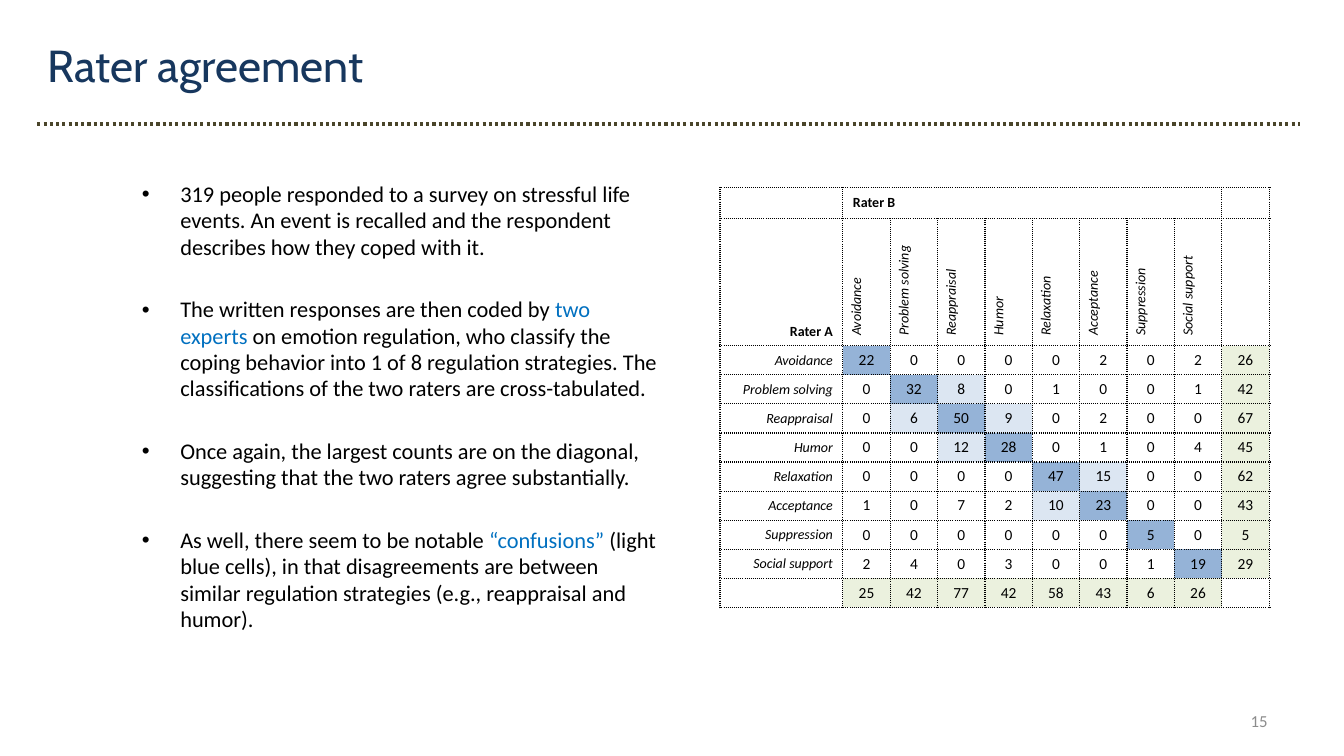
from dataclasses import dataclass

from lxml import etree
from pptx import Presentation
from pptx.dml.color import RGBColor
from pptx.enum.dml import MSO_LINE
from pptx.enum.shapes import MSO_CONNECTOR
from pptx.enum.text import MSO_ANCHOR, PP_ALIGN
from pptx.oxml.ns import qn
from pptx.util import Inches, Pt

LEFT, CENTER, RIGHT = PP_ALIGN.LEFT, PP_ALIGN.CENTER, PP_ALIGN.RIGHT
TOP, MIDDLE, BOTTOM = MSO_ANCHOR.TOP, MSO_ANCHOR.MIDDLE, MSO_ANCHOR.BOTTOM
DOTTED = MSO_LINE.ROUND_DOT
STRAIGHT = MSO_CONNECTOR.STRAIGHT


@dataclass(frozen=True)
class Theme:
    heading_font: str = "Cabin"
    body_font: str = "Calibri"
    title_size: int = 32
    body_size: int = 16
    number_size: int = 12
    count_size: int = 11
    label_size: int = 10
    navy: str = "17375E"
    black: str = "000000"
    accent: str = "0070C0"
    gray: str = "8C8C8C"
    rule: str = "4A452A"
    agreement: str = "95B3D7"
    confusion: str = "DCE6F2"
    total: str = "EBF1DE"
    white: str = "FFFFFF"


THEME = Theme()

# Each bullet is a list of (text, colour) spans
BULLETS = [
    [("319 people responded to a survey on stressful life events. An event is "
      "recalled and the respondent describes how they coped with it.", THEME.black)],
    [("The written responses are then coded by ", THEME.black),
     ("two experts ", THEME.accent),
     ("on emotion regulation, who classify the coping behavior into 1 of 8 regulation "
      "strategies. The classifications of the two raters are cross-tabulated.",
      THEME.black)],
    [("Once again, the largest counts are on the diagonal, suggesting that the two "
      "raters agree substantially.", THEME.black)],
    [("As well, there seem to be notable ", THEME.black),
     ("“confusions” ", THEME.accent),
     ("(light blue cells), in that disagreements are between similar regulation "
      "strategies (e.g., reappraisal and humor).", THEME.black)],
]

STRATEGIES = ["Avoidance", "Problem solving", "Reappraisal", "Humor",
              "Relaxation", "Acceptance", "Suppression", "Social support"]
COUNTS = [
    [22, 0, 0, 0, 0, 2, 0, 2],
    [0, 32, 8, 0, 1, 0, 0, 1],
    [0, 6, 50, 9, 0, 2, 0, 0],
    [0, 0, 12, 28, 0, 1, 0, 4],
    [0, 0, 0, 0, 47, 15, 0, 0],
    [1, 0, 7, 2, 10, 23, 0, 0],
    [0, 0, 0, 0, 0, 0, 5, 0],
    [2, 4, 0, 3, 0, 0, 1, 19],
]
CONFUSION_MINIMUM = 6


def add_span(para, text, size, color=THEME.black, font=THEME.body_font,
             bold=False, italic=False):
    span = para.add_run()
    span.text = text
    span.font.name, span.font.size = font, Pt(size)
    span.font.bold, span.font.italic = bold, italic
    span.font.color.rgb = RGBColor.from_string(color)


def add_heading(page, left, top, width, height):
    title = page.shapes.title
    title.left, title.top = Inches(left), Inches(top)
    title.width, title.height = Inches(width), Inches(height)
    title.text_frame.vertical_anchor = TOP
    para = title.text_frame.paragraphs[0]
    para.alignment = LEFT
    add_span(para, "Rater agreement", THEME.title_size, THEME.navy, THEME.heading_font)

    # Dotted rule below the title
    rule_top = Inches(top + 0.91)
    rule = page.shapes.add_connector(STRAIGHT, Inches(left), rule_top,
                                     Inches(left + 12.52), rule_top)
    rule.line.color.rgb = RGBColor.from_string(THEME.rule)
    rule.line.width = Pt(2.25)
    rule.line.dash_style = DOTTED
    etree.SubElement(rule._element.spPr, qn("a:effectLst"))


def add_text_frame(page, left, top, width, height):
    box = page.shapes.add_textbox(Inches(left), Inches(top), Inches(width), Inches(height))
    box.text_frame.word_wrap = True
    return box.text_frame


def add_bullets(page, left, top, width, height):
    frame = add_text_frame(page, left, top, width, height)
    for index, spans in enumerate(BULLETS):
        para = frame.add_paragraph() if index else frame.paragraphs[0]
        para.space_before = Pt(26 if index else 0)
        para.line_spacing = 0.98
        properties = para._p.get_or_add_pPr()
        properties.set("marL", str(Inches(0.38)))
        properties.set("indent", str(-Inches(0.38)))
        etree.SubElement(properties, qn("a:buFont"), typeface="Arial")
        etree.SubElement(properties, qn("a:buChar"), char="•")
        for text, color in spans:
            add_span(para, text, THEME.body_size, color)


def add_page_number(page, left, top, width, height):
    frame = add_text_frame(page, left, top, width, height)
    frame.vertical_anchor = MIDDLE
    frame.paragraphs[0].alignment = RIGHT
    add_span(frame.paragraphs[0], "15", THEME.number_size, THEME.gray)


def outline_cell(cell):
    properties = cell._tc.get_or_add_tcPr()
    for side in ("a:lnL", "a:lnR", "a:lnT", "a:lnB"):
        border = etree.SubElement(properties, qn(side), w=str(Pt(1)))
        fill = etree.SubElement(border, qn("a:solidFill"))
        etree.SubElement(fill, qn("a:srgbClr"), val=THEME.black)
        etree.SubElement(border, qn("a:prstDash"), val="sysDot")


def fill_cell(cell, color):
    cell.fill.solid()
    cell.fill.fore_color.rgb = RGBColor.from_string(color)


def write_label(cell, text, align=RIGHT, anchor=MIDDLE, bold=False):
    cell.vertical_anchor = anchor
    para = cell.text_frame.paragraphs[0]
    para.alignment = align
    add_span(para, text, THEME.label_size, bold=bold, italic=not bold)


def write_count(cell, count, color=None):
    cell.vertical_anchor = MIDDLE
    para = cell.text_frame.paragraphs[0]
    para.alignment = CENTER
    add_span(para, str(count), THEME.count_size)
    if color:
        fill_cell(cell, color)


def count_color(row, column):
    if row == column:
        return THEME.agreement
    if abs(row - column) == 1 and COUNTS[row][column] >= CONFUSION_MINIMUM:
        return THEME.confusion
    return None


def add_agreement_table(page, left, top, width, height):
    size = len(STRATEGIES)
    last_row, last_column = size + 2, size + 1
    table = page.shapes.add_table(last_row + 1, last_column + 1, Inches(left), Inches(top),
                                  Inches(width), Inches(height)).table
    table.first_row = table.horz_banding = False

    # Grid: wide label column, two header rows, equal count cells
    for index, column in enumerate(table.columns):
        column.width = Inches(0.47 if index else width - 0.47 * last_column)
    header_heights = [0.31, 1.26]
    count_height = (height - sum(header_heights)) / (last_row - 1)
    for index, row in enumerate(table.rows):
        row.height = Inches(header_heights[index] if index < 2 else count_height)
    for cell in table.iter_cells():
        outline_cell(cell)
        cell.fill.background()
        cell.text_frame.paragraphs[0].font.size = Pt(THEME.label_size)

    # Rater headings
    table.cell(0, 1).merge(table.cell(0, size))
    write_label(table.cell(0, 1), "Rater B", LEFT, bold=True)
    write_label(table.cell(1, 0), "Rater A", anchor=BOTTOM, bold=True)

    # Strategy labels, counts and totals
    for row, strategy in enumerate(STRATEGIES):
        heading = table.cell(1, row + 1)
        write_label(heading, strategy, LEFT)
        heading._tc.get_or_add_tcPr().set("vert", "vert270")
        write_label(table.cell(row + 2, 0), strategy)
        for column, count in enumerate(COUNTS[row]):
            write_count(table.cell(row + 2, column + 1), count, count_color(row, column))
        write_count(table.cell(row + 2, last_column), sum(COUNTS[row]), THEME.total)
        column_total = sum(counts[row] for counts in COUNTS)
        write_count(table.cell(last_row, row + 1), column_total, THEME.total)
    fill_cell(table.cell(last_row, last_column), THEME.white)


def main():
    deck = Presentation()
    deck.slide_width, deck.slide_height = Inches(13.33), Inches(7.5)
    page = deck.slides.add_slide(deck.slide_layouts.get_by_name("Title Only"))
    add_heading(page, 0.37, 0.32, 11.65, 0.64)
    add_bullets(page, 1.31, 1.75, 5.35, 5.39)
    add_agreement_table(page, 7.14, 1.86, 5.45, 4.17)
    add_page_number(page, 9.56, 6.95, 3.11, 0.4)
    deck.save("out.pptx")


if __name__ == "__main__":
    main()
